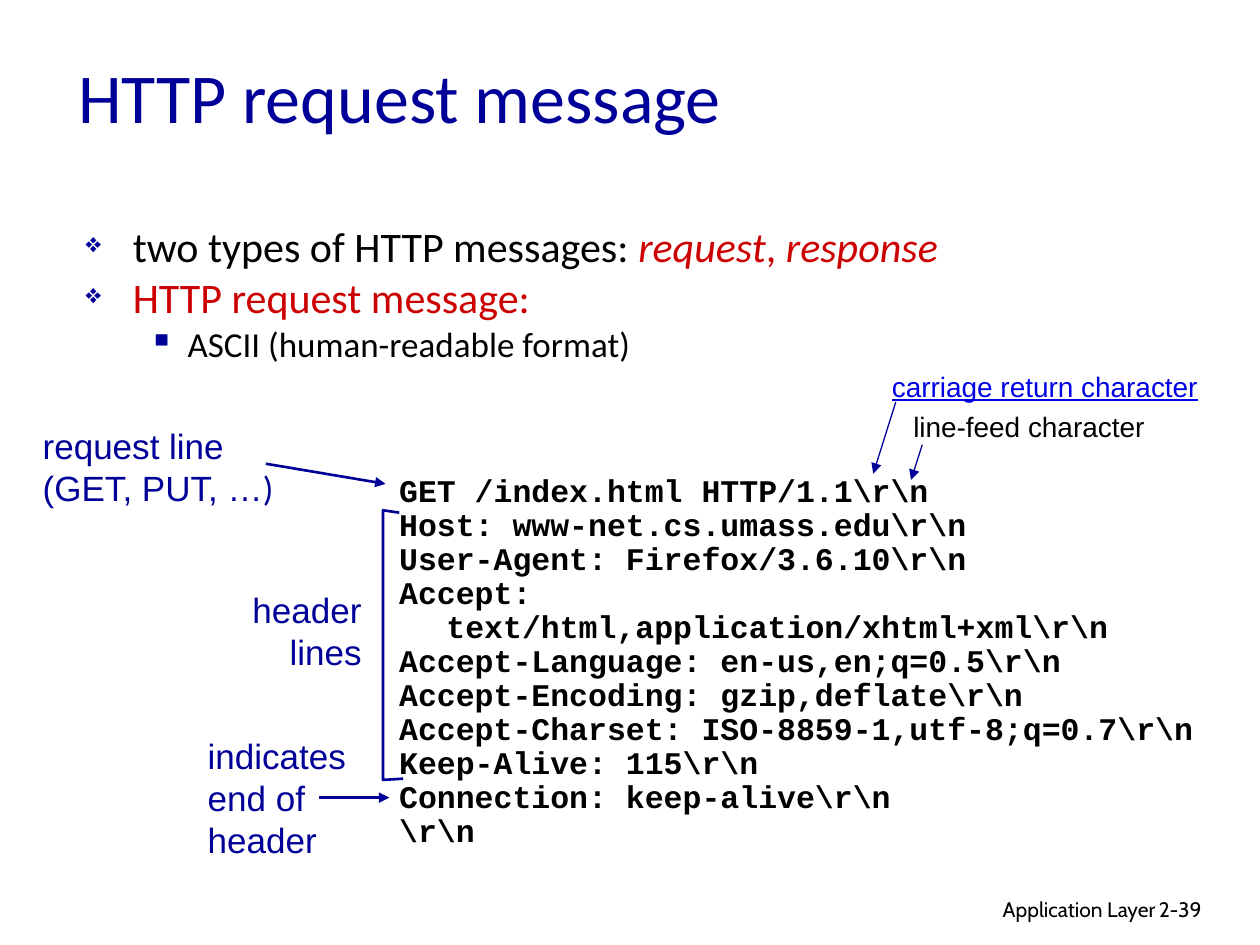
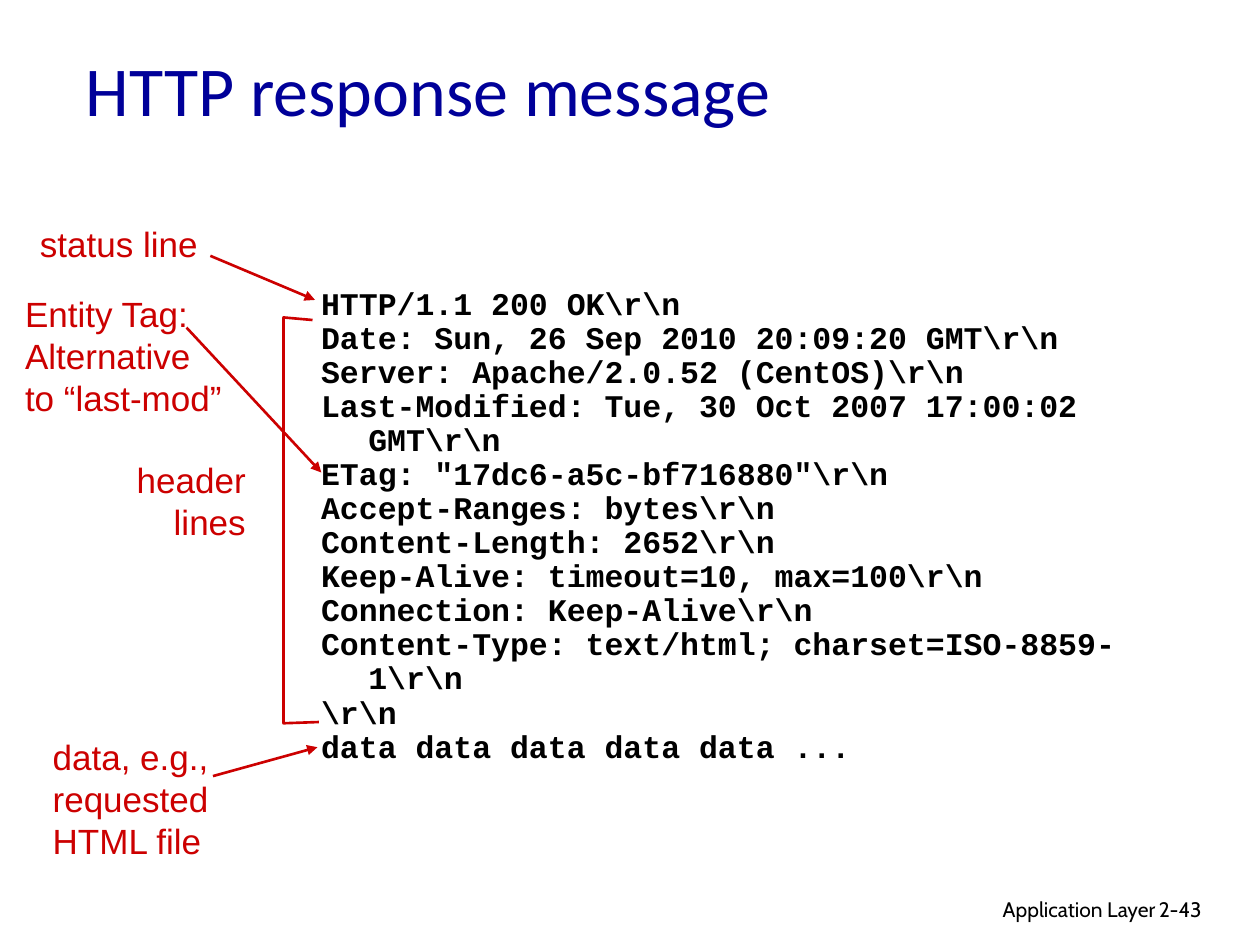
import pptx
import pptx.util
import pptx.dml.color
import pptx.enum.shapes
import pptx.enum.text
import pptx.oxml.ns
import lxml.etree

Pt = pptx.util.Pt
RGB = pptx.dml.color.RGBColor.from_string
ALIGN = pptx.enum.text.PP_ALIGN
FIT = pptx.enum.text.MSO_AUTO_SIZE
qn = pptx.oxml.ns.qn


class Theme:
    navy, red, black, link = "000099", "CC0000", "000000", "0000E5"
    head, label, code, foot = "Calibri", "Arial", "Courier New", "Cabin"
    title, body, sub, mono, note, small = 40, 24, 20, 18, 16, 12
    thick, thin = 1.5, 0.75


def write(slide, box, text, font=Theme.label, size=Theme.sub, color=Theme.black,
          bold=None, under=None, align=ALIGN.LEFT, hang=0, space=None,
          wrap=True, title=False):
    """Write paragraphs; each is a string or a list of (text, changes) runs."""
    shape = slide.shapes.title if title else slide.shapes.add_textbox(0, 0, 0, 0)
    shape.left, shape.top, shape.width, shape.height = map(Pt, box)
    frame = shape.text_frame
    frame.word_wrap = wrap
    frame.auto_size = FIT.NONE if wrap else FIT.SHAPE_TO_FIT_TEXT
    if title:
        frame.vertical_anchor = pptx.enum.text.MSO_ANCHOR.MIDDLE
    for i, para in enumerate(text):
        p = frame.add_paragraph() if i else frame.paragraphs[0]
        p.alignment = align
        if space:
            p.line_spacing = space
        if hang:
            p._p.get_or_add_pPr().set("marL", str(Pt(hang)))
            p._p.get_or_add_pPr().set("indent", str(-Pt(hang)))
        for words, change in [(para, {})] if isinstance(para, str) else para:
            run = p.add_run()
            run.text = words
            run.font.name = change.get("font", font)
            run.font.size = Pt(change.get("size", size))
            run.font.color.rgb = RGB(change.get("color", color))
            run.font.bold = bold
            run.font.underline = under
            run.font.italic = change.get("italic")
    return frame


def arrow(slide, ends, color, width):
    """Draw a straight arrow from the first point to the second."""
    line = slide.shapes.add_connector(
        pptx.enum.shapes.MSO_CONNECTOR.STRAIGHT, *map(Pt, ends))
    line.line.color.rgb = RGB(color)
    line.line.width = Pt(width)
    tail = lxml.etree.SubElement(line.line._get_or_add_ln(), qn("a:tailEnd"))
    tail.set("type", "triangle")
    lxml.etree.SubElement(line._element.spPr, qn("a:effectLst"))


# Content of the two messages
ask = r"""GET /index.html HTTP/1.1\r\n
Host: www-net.cs.umass.edu\r\n
User-Agent: Firefox/3.6.10\r\n
Accept: text/html,application/xhtml+xml\r\n
Accept-Language: en-us,en;q=0.5\r\n
Accept-Encoding: gzip,deflate\r\n
Accept-Charset: ISO-8859-1,utf-8;q=0.7\r\n
Keep-Alive: 115\r\n
Connection: keep-alive\r\n
\r\n"""

reply = r"""HTTP/1.1 200 OK\r\n
Date: Sun, 26 Sep 2010 20:09:20 GMT\r\n
Server: Apache/2.0.52 (CentOS)\r\n
Last-Modified: Tue, 30 Oct 2007 17:00:02 GMT\r\n
ETag: "17dc6-a5c-bf716880"\r\n
Accept-Ranges: bytes\r\n
Content-Length: 2652\r\n
Keep-Alive: timeout=10, max=100\r\n
Connection: Keep-Alive\r\n
Content-Type: text/html; charset=ISO-8859-1\r\n
\r\n
data data data data data ..."""

# Layout of each slide: places in points
pages = [
    dict(title="HTTP request message", place=(37.4, 18.7, 612, 72),
         page="2-39", color=Theme.navy,
         code=ask, area=(221, 267.8, 476.6, 202.3),
         bracket=[(228.2, 293), (218.9, 291.6), (218.9, 445.7), (230.4, 445)],
         labels=[
             ((17.3, 239, 147.6, 55.4), ALIGN.LEFT, False,
              ["request line", [("(GET, PUT, …", {}), (")", {"font": Theme.head})]]),
             ((136.8, 332.6, 77, 55.4), ALIGN.RIGHT, False, ["header", "lines"]),
             ((111.6, 416.2, 128.2, 79.9), ALIGN.LEFT, True,
              ["indicates", "end of header"])],
         arrows=[(151.9, 265, 220.3, 276.5), (182.2, 455.8, 222.5, 455.8)]),
    dict(title="HTTP response message", place=(41.8, 12.2, 612, 77),
         page="2-43", color=Theme.red,
         code=reply, area=(176.4, 161.3, 496.8, 280),
         bracket=[(178.6, 182.9), (162, 181.4), (162, 413.3), (182.2, 412.6)],
         labels=[
             ((15.8, 123.8, 105.1, 31.7), ALIGN.LEFT, False, ["status line"]),
             ((70.6, 258.5, 77, 55.4), ALIGN.RIGHT, False, ["header", "lines"]),
             ((23, 416.9, 108.7, 79.2), ALIGN.LEFT, False,
              ["data, e.g.,", "requested", "HTML file"]),
             ((7.2, 163.4, 128.2, 79.9), ALIGN.LEFT, False,
              ["Entity Tag:", "Alternative", "to “last-mod”"])],
         arrows=[(120.2, 146.2, 180, 171.4), (121.7, 443.5, 181.4, 427),
                 (106.6, 187.2, 183.6, 270)]),
]

deck = pptx.Presentation()
deck.slide_width, deck.slide_height = Pt(720), Pt(540)

for item in pages:
    slide = deck.slides.add_slide(deck.slide_layouts[5])
    color = item["color"]

    # Title and footer
    write(slide, item["place"], [item["title"]], font=Theme.head,
          size=Theme.title, color=Theme.navy, title=True)
    write(slide, (439.2, 509, 228.2, 22.3), ["Application Layer"],
          font=Theme.foot, size=Theme.small, align=ALIGN.RIGHT)
    write(slide, (655.2, 509, 53.3, 21.6), [item["page"]],
          font=Theme.foot, size=Theme.small)

    # Message text
    write(slide, item["area"], item["code"].splitlines(), font=Theme.code,
          size=Theme.mono, bold=True, hang=27, space=0.9)

    # Bracket around the header lines
    start, *rest = [(Pt(x), Pt(y)) for x, y in item["bracket"]]
    pen = slide.shapes.build_freeform(*start)
    pen.add_line_segments(rest, close=False)
    bracket = pen.convert_to_shape()
    bracket.shadow.inherit = False
    bracket.fill.background()
    bracket.line.color.rgb = RGB(color)
    bracket.line.width = Pt(Theme.thick)

    # Labels and arrows
    for box, align, wrap, text in item["labels"]:
        write(slide, box, text, color=color, align=align, wrap=wrap)
    for ends in item["arrows"]:
        arrow(slide, ends, color, Theme.thick)

# Bullets on the request slide
first = deck.slides[0]
red = {"color": Theme.red}
slant = {"color": Theme.red, "italic": True}
body = write(first, (41.8, 126.7, 612, 365.8), [
    [("two types of HTTP messages: ", {}), ("request", slant),
     (", ", red), ("response", slant)],
    [("HTTP request message:", red)],
    [("ASCII (human-readable format)", {"size": Theme.sub})],
], font=Theme.head, size=Theme.body, space=0.85)
marks = [("❖", 27, 27, 65, 0), ("❖", 27, 27, 65, 4.8), ("▪", 58.3, 22.3, 100, 4)]
for p, (mark, left, hang, scale, gap) in zip(body.paragraphs, marks):
    p.space_before = Pt(gap)
    props = p._p.get_or_add_pPr()
    props.set("marL", str(Pt(left)))
    props.set("indent", str(-Pt(hang)))
    tint = lxml.etree.SubElement(props, qn("a:buClr"))
    lxml.etree.SubElement(tint, qn("a:srgbClr")).set("val", Theme.navy)
    lxml.etree.SubElement(props, qn("a:buSzPct")).set("val", str(scale * 1000))
    lxml.etree.SubElement(props, qn("a:buChar")).set("char", mark)

# Notes on the line ending
write(first, (502.6, 207.4, 190.1, 26.6), ["carriage return character"],
      size=Theme.note, color=Theme.link, under=True, wrap=False)
write(first, (514.8, 230.4, 146.9, 26.6), ["line-feed character"],
      size=Theme.note, wrap=False)
for ends in [(511.9, 229.7, 499, 270.7), (527, 254.2, 520.6, 274.3)]:
    arrow(first, ends, Theme.navy, Theme.thin)

deck.save("out.pptx")
